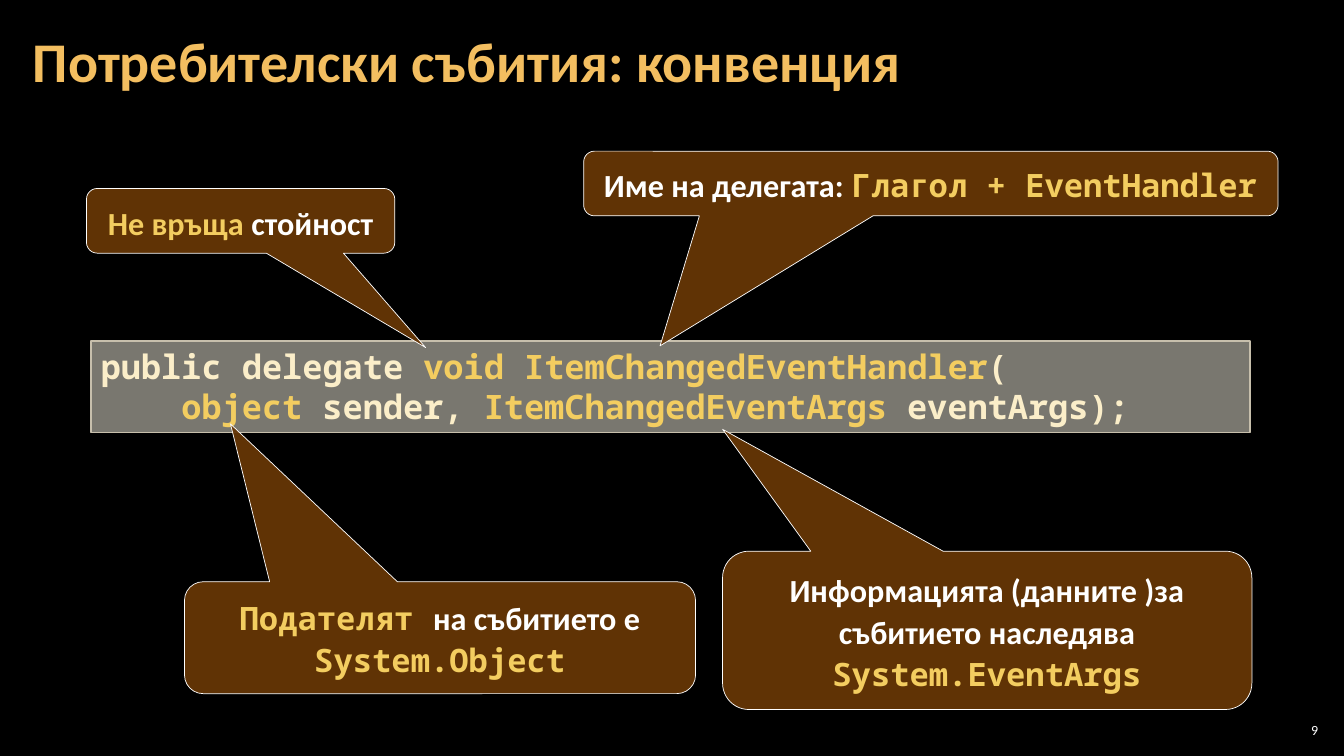
"""Build the slide on the naming convention for custom events."""
from lxml.etree import SubElement
from pptx import Presentation
from pptx.dml.color import RGBColor
from pptx.enum.shapes import MSO_SHAPE
from pptx.enum.text import MSO_ANCHOR, MSO_AUTO_SIZE, PP_ALIGN
from pptx.oxml.ns import qn
from pptx.util import Cm, Pt

SANS, MONO = "Calibri", "Noto Sans Mono"
WHITE, GOLD, CREAM = "FFFFFF", "F3CD60", "FBEEC9"


def paint(fmt, color, opacity=100):
    fmt.solid()
    fmt.fore_color.rgb = RGBColor.from_string(color)
    if opacity < 100:
        clr = fmt._xPr.find(qn("a:solidFill")).find(qn("a:srgbClr"))
        SubElement(clr, qn("a:alpha"), val=str(opacity * 1000))


def write(tf, lines, size, margins, align=PP_ALIGN.LEFT, bold=True, anchor=MSO_ANCHOR.TOP):
    tf.word_wrap = True
    tf.vertical_anchor = anchor
    tf.margin_left = tf.margin_right = Cm(margins[0])
    tf.margin_top = tf.margin_bottom = Cm(margins[1])
    for i, runs in enumerate(lines):
        p = tf.add_paragraph() if i else tf.paragraphs[0]
        p.alignment = align
        p.font.size = Pt(size)
        p.font.bold = bold
        for text, font, color in runs:
            r = p.add_run()
            r.text = text
            r.font.name = font
            paint(r.font.fill, color)


prs = Presentation()
prs.slide_width, prs.slide_height = Cm(33.87), Cm(19.05)
s = prs.slides.add_slide(prs.slide_layouts[6])
paint(s.background.fill, "000000")

title = s.shapes.add_textbox(Cm(0.53), Cm(0.1), Cm(32.79), Cm(3.07))
write(title.text_frame, [[("Потребителски събития: конвенция", SANS, "F3BE60")]],
      40, (0.3, 0.1), anchor=MSO_ANCHOR.MIDDLE)
title.text_frame.paragraphs[0].line_spacing = 0.9

code = s.shapes.add_shape(MSO_SHAPE.RECTANGLE, Cm(2.29), Cm(8.59), Cm(29.21), Cm(2.31))
code.shadow.inherit = False
paint(code.fill, "D9D5C7", 56)
paint(code.line.fill, "C7BFAC")
code.line.width = Pt(1)
write(code.text_frame, [
    [("public delegate ", MONO, CREAM), ("void ItemChangedEventHandler", MONO, GOLD),
     ("(", MONO, CREAM)],
    [("    ", MONO, CREAM), ("object", MONO, GOLD), (" sender, ", MONO, CREAM),
     ("ItemChangedEventArgs", MONO, GOLD), (" eventArgs);", MONO, CREAM)],
], 24, (0.25, 0.13))

callouts = [
    ((14.71, 3.81, 17.5, 1.63), (-0.39, 2.51),
     [("Име на делегата: ", SANS, WHITE), ("Глагол + EventHandler", MONO, GOLD)]),
    ((4.65, 14.66, 12.88, 2.82), (-0.41, -1.91),
     [("Подателят ", MONO, GOLD), ("на събитието е ", SANS, WHITE),
      ("System.Object", MONO, GOLD)]),
    ((18.21, 13.89, 13.34, 3.99), (-0.5, -1.27),
     [("Информацията (данните )за събитието наследява", SANS, WHITE),
      (" System.EventArgs", MONO, GOLD)]),
    ((2.18, 4.75, 7.77, 1.63), (0.6, 1.96),
     [("Не връща ", SANS, GOLD), ("стойност", SANS, WHITE)]),
]
for box, tip, runs in callouts:
    sp = s.shapes.add_shape(MSO_SHAPE.ROUNDED_RECTANGULAR_CALLOUT, *map(Cm, box))
    sp.shadow.inherit = False
    sp.adjustments[0], sp.adjustments[1] = tip
    paint(sp.fill, "663606", 95)
    paint(sp.line.fill, WHITE)
    sp.line.width = Pt(0.5)
    write(sp.text_frame, [runs], 23, (0.25, 0.2), PP_ALIGN.CENTER)
    sp.text_frame.paragraphs[0].line_spacing = Pt(30)
    sp.text_frame.auto_size = MSO_AUTO_SIZE.SHAPE_TO_FIT_TEXT

number = s.shapes.add_textbox(Cm(32.13), Cm(18.14), Cm(1.19), Cm(0.53))
write(number.text_frame, [[("9", SANS, WHITE)]], 10, (0.1, 0.1),
      PP_ALIGN.RIGHT, False, MSO_ANCHOR.MIDDLE)

prs.save("out.pptx")
